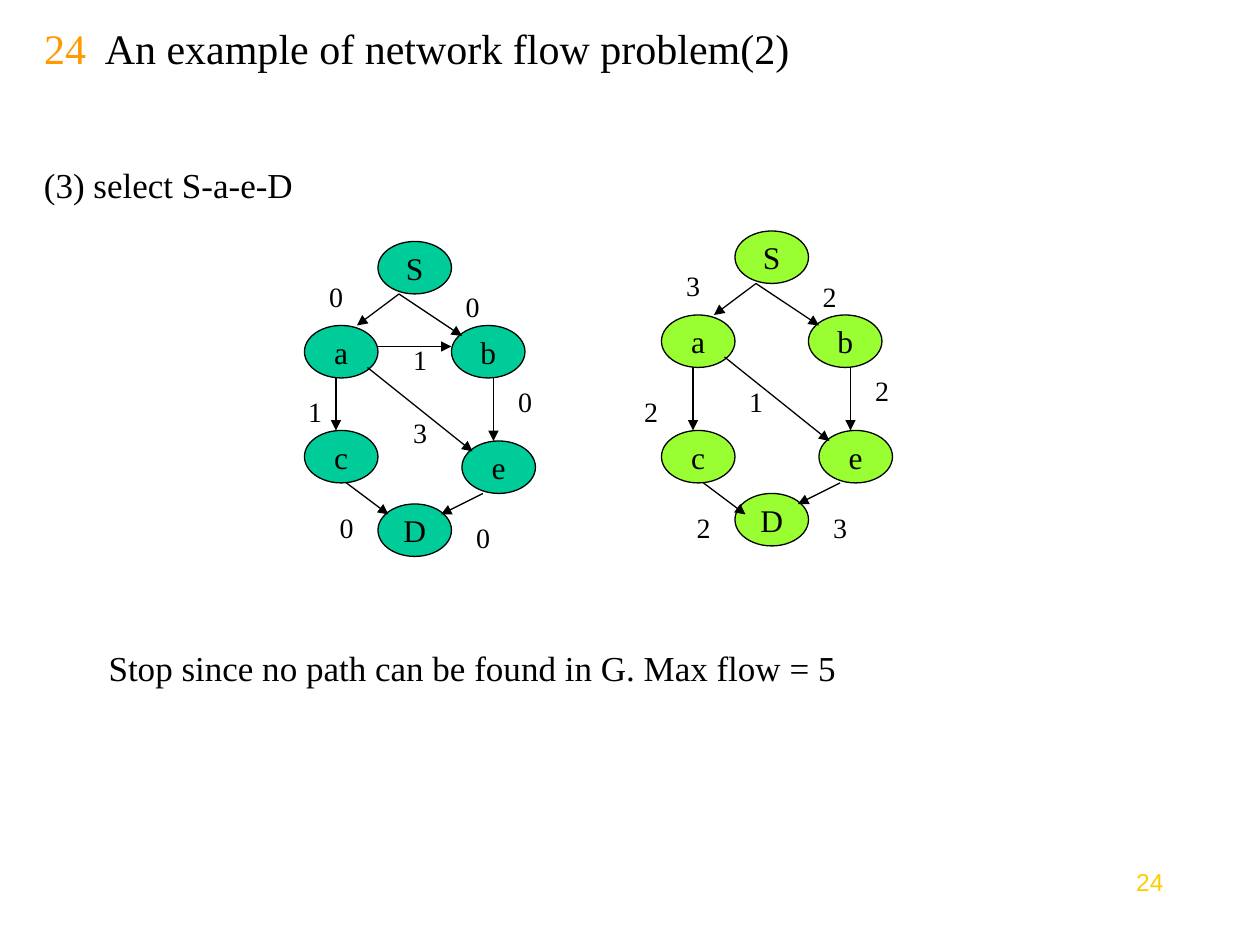
from pptx import Presentation
from pptx.dml.color import RGBColor
from pptx.enum.shapes import MSO_CONNECTOR as CONN, MSO_SHAPE as SHAPE
from pptx.enum.text import MSO_ANCHOR as ANCHOR, MSO_AUTO_SIZE as FIT, PP_ALIGN as ALIGN
from pptx.oxml.ns import qn
from pptx.util import Pt
from lxml.etree import SubElement

BLACK = RGBColor(0x00, 0x00, 0x00)
ORANGE = RGBColor(0xFF, 0x99, 0x00)
YELLOW = RGBColor(0xFF, 0xCC, 0x00)
TEAL = RGBColor(0x00, 0xCC, 0x99)
LIME = RGBColor(0x99, 0xFF, 0x33)

GRID = 6  # points per grid step of the graphs

# Graph layout in grid steps from the graph's own origin
NODES = {"S": (8, 0), "a": (1, 8), "b": (15, 8), "c": (1, 18), "e": (16, 19), "D": (8, 25)}
EDGES = {
    "Sa": (10, 5, 6, 8), "Sb": (10, 5, 16, 9), "ac": (4, 13, 4, 18),
    "cD": (5, 23, 9, 26), "eD": (18, 24, 14, 26), "be": (19, 13, 19, 19),
    "ae": (7, 12, 17, 20),
}
LABELS = {
    "Sa": (2, 3), "Sb": (15, 4), "ac": (0, 14), "ae": (10, 16),
    "be": (20, 13), "cD": (3, 25), "eD": (16, 26),
}

# The two graphs: what differs from the shared layout, and the edge values
RESIDUAL = {
    "origin": (28, 23), "fill": TEAL, "nodes": NODES,
    "edges": EDGES | {"ab": (8, 10, 15, 10)},
    "labels": LABELS | {"ab": (10, 9)},
    "values": {"Sa": 0, "Sb": 0, "ac": 1, "ae": 3, "be": 0, "ab": 1, "cD": 0, "eD": 0},
}
FLOW = {
    "origin": (62, 22), "fill": LIME, "nodes": NODES | {"c": (1, 19)},
    "edges": EDGES | {"ac": (4, 13, 4, 19), "cD": (5, 24, 9, 27)},
    "labels": LABELS | {"ac": (-2, 15), "ae": (8, 14), "cD": (3, 26)},
    "values": {"Sa": 3, "Sb": 2, "ac": 2, "ae": 1, "be": 2, "cD": 2, "eD": 3},
}


def set_all(target, values):
    for name, value in values.items():
        setattr(target, name, value)


class SlideBuilder:
    font = "Times New Roman"
    line_width = Pt(0.75)
    node_size = (Pt(7 * GRID), Pt(5 * GRID))
    label_size = (4 * GRID, 26.6)

    def __init__(self, slide):
        self.slide = slide

    def fill_text(self, tf, runs, size, align=ALIGN.LEFT, before=0, font=None, **frame):
        set_all(tf, {"word_wrap": True, "auto_size": FIT.NONE} | frame)
        p = tf.paragraphs[0]
        set_all(p, {"alignment": align, "space_before": Pt(before)})
        for text, color in runs:
            r = p.add_run()
            r.text = text
            set_all(r.font, {"name": font or self.font, "size": Pt(size)})
            r.font.color.rgb = color

    def title(self, runs, x, y, w, h, size):
        sp = self.slide.shapes.title
        set_all(sp, {"left": Pt(x), "top": Pt(y), "width": Pt(w), "height": Pt(h)})
        self.fill_text(sp.text_frame, runs, size, vertical_anchor=ANCHOR.MIDDLE)

    def text(self, text, x, y, w, h, size, color=BLACK, parent=None, **style):
        shapes = (parent or self.slide).shapes
        sp = shapes.add_textbox(Pt(x), Pt(y), Pt(w), Pt(h))
        self.fill_text(sp.text_frame, [(text, color)], size, **style)

    def node(self, group, name, x, y, fill):
        sp = group.shapes.add_shape(SHAPE.OVAL, Pt(x), Pt(y), *self.node_size)
        sp.shadow.inherit = False
        sp.fill.solid()
        sp.fill.fore_color.rgb = fill
        sp.line.color.rgb = BLACK
        sp.line.width = self.line_width
        self.fill_text(sp.text_frame, [(name, BLACK)], 18, ALIGN.CENTER,
                       word_wrap=False, vertical_anchor=ANCHOR.MIDDLE)

    def arrow(self, group, *ends):
        cn = group.shapes.add_connector(CONN.STRAIGHT, *map(Pt, ends))
        cn.line.color.rgb = BLACK
        cn.line.width = self.line_width
        sp_pr = cn._element.spPr
        SubElement(sp_pr.find(qn("a:ln")), qn("a:tailEnd"), type="triangle")
        SubElement(sp_pr, qn("a:effectLst"))

    def graph(self, origin, fill, nodes, edges, labels, values):
        ox, oy = origin

        def place(x, y):
            return (ox + x) * GRID, (oy + y) * GRID

        group = self.slide.shapes.add_group_shape()
        for name, at in nodes.items():
            self.node(group, name, *place(*at), fill)
        for edge, at in labels.items():
            self.text(str(values[edge]), *place(*at), *self.label_size, 16,
                      parent=group, align=ALIGN.CENTER, before=10)
        for x1, y1, x2, y2 in edges.values():
            self.arrow(group, *place(x1, y1), *place(x2, y2))


def main():
    prs = Presentation()
    set_all(prs, {"slide_width": Pt(720), "slide_height": Pt(540)})
    s = SlideBuilder(prs.slides.add_slide(prs.slide_layouts[5]))

    # Title and slide number
    s.title([("24", ORANGE), ("  An example of network flow problem(2)", BLACK)],
            18, 12, 612, 30, 24)
    s.text("24", 624, 492, 48, 37.5, 14, YELLOW, align=ALIGN.RIGHT, font="Arial")

    # Step, both graphs and conclusion
    s.text("(3) select S-a-e-D", 18, 90, 162, 31.5, 20, before=12.5)
    for graph in (RESIDUAL, FLOW):
        s.graph(**graph)
    s.text("Stop since no path can be found in G. Max flow = 5",
           30, 366, 480, 31.5, 20, align=ALIGN.CENTER, before=12.5)

    prs.save("out.pptx")


if __name__ == "__main__":
    main()
